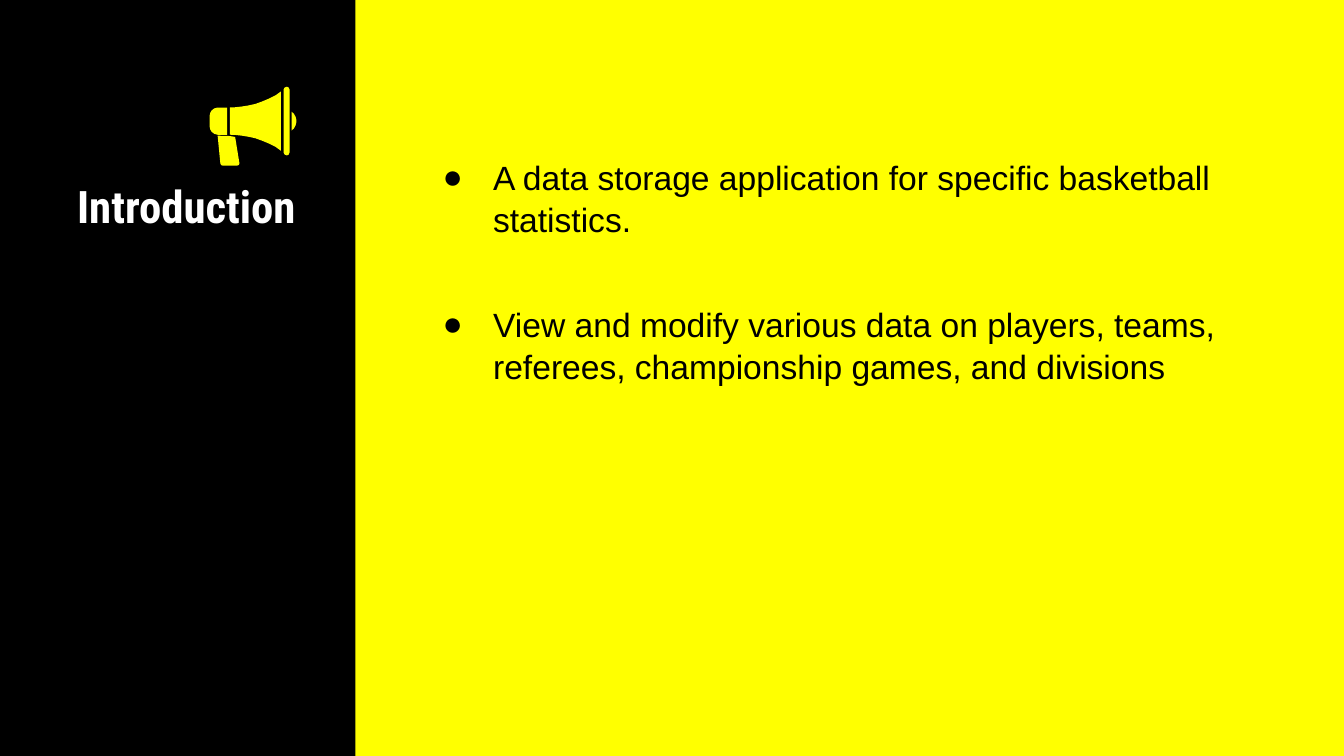
import pptx
import pptx.util
import pptx.dml.color
import pptx.enum.shapes
import pptx.enum.text
import lxml.etree

Pt = pptx.util.Pt
ALIGN = pptx.enum.text.PP_ALIGN

COLORS = {"yellow": "FFFF00", "black": "000000", "white": "FFFFFF"}
HEADING = "Introduction"
POINTS = [
    ("A data storage application for specific basketball statistics.", 6),
    ("View and modify various data on players, teams, referees, "
     "championship games, and divisions", 33.5),
]

SLIDE_SIZE = (720, 405)
BAND_BOX = (0, 0, 190.5, 405)
HEADING_BOX = (31.7, 88.6, 133.9, 116.6)
POINTS_BOX = (221, 75.6, 447.8, 157)

HORN_AXIS = 64.9
HANDLE = [(116.6, 72.7), (118.1, 87.8), (118.6, 88.5), (119.5, 88.8), (126.9, 88.8),
          (127.8, 88.5), (128.3, 87.7), (126, 73.4), (123.1, 72.9)]
UPPER_HALVES = {
    "knob": [(156.2, 59.8), (157.5, 61), (158.4, 62.6), (158.8, 64.3)],
    "grip": [(121.7, 57.6), (116.6, 57.6), (114.8, 58.1), (113.4, 59.2),
             (112.6, 60.6), (112.3, 62.2)],
    "horn": [(150.5, 49), (147.6, 51.1), (144, 52.9), (140.4, 54.4), (136.8, 55.7),
             (133.2, 56.5), (129.6, 57.1), (126, 57.5), (123.1, 57.6)],
    "rim": [(153.7, 46.5), (152.5, 46.9), (151.9, 48), (151.9, 64.9)],
}
RIM_RIGHT = [(155.1, 64.9), (155.1, 48), (154.6, 46.9)]


def rgb(name):
    return pptx.dml.color.RGBColor.from_string(COLORS[name])


def paint(shape, color):
    shape.fill.solid()
    shape.fill.fore_color.rgb = rgb(color)
    shape.line.fill.background()
    shape.shadow.inherit = False


def mirrored(points):
    return [(x, 2 * HORN_AXIS - y) for x, y in reversed(points)]


def place(shape, box):
    shape.left, shape.top, shape.width, shape.height = map(Pt, box)
    frame = shape.text_frame
    frame.word_wrap = True
    frame.auto_size = pptx.enum.text.MSO_AUTO_SIZE.NONE
    frame.vertical_anchor = pptx.enum.text.MSO_ANCHOR.TOP
    frame.margin_left = frame.margin_right = Pt(7.2)
    frame.margin_top = frame.margin_bottom = Pt(7.2)
    return frame


def write(paragraph, text, *, size, font, color, bold=False, align=ALIGN.LEFT,
          before=0, spacing=1.0, bullet=None):
    paragraph.alignment = align
    paragraph.space_before = Pt(before)
    paragraph.line_spacing = spacing
    run = paragraph.add_run()
    run.text = text
    run.font.size = Pt(size)
    run.font.name = font
    run.font.bold = bold
    run.font.color.rgb = rgb(color)
    if bullet:
        props = paragraph._p.get_or_add_pPr()
        props.set("marL", str(Pt(36)))
        props.set("indent", str(Pt(-27)))
        ns = "{http://schemas.openxmlformats.org/drawingml/2006/main}"
        bullet_color = lxml.etree.SubElement(props, ns + "buClr")
        lxml.etree.SubElement(bullet_color, ns + "srgbClr", val=COLORS[color])
        lxml.etree.SubElement(props, ns + "buChar", char=bullet)


def draw_megaphone(slide):
    outlines = [HANDLE]
    for part, upper in UPPER_HALVES.items():
        if part == "rim":
            upper = RIM_RIGHT + upper
        outlines.append(upper + mirrored(upper))
    megaphone = slide.shapes.add_group_shape()
    for outline in outlines:
        start, *rest = [(Pt(x), Pt(y)) for x, y in outline]
        builder = megaphone.shapes.build_freeform(*start)
        builder.add_line_segments(rest, close=True)
        paint(builder.convert_to_shape(), "yellow")


def main():
    deck = pptx.Presentation()
    deck.slide_width, deck.slide_height = map(Pt, SLIDE_SIZE)
    slide = deck.slides.add_slide(deck.slide_layouts[1])
    slide.background.fill.solid()
    slide.background.fill.fore_color.rgb = rgb("yellow")

    heading, body = slide.placeholders
    band = slide.shapes.add_shape(pptx.enum.shapes.MSO_SHAPE.RECTANGLE, *map(Pt, BAND_BOX))
    paint(band, "black")
    heading.element.addprevious(band.element)

    write(place(heading, HEADING_BOX).paragraphs[0], HEADING, size=24,
          font="Roboto Condensed", color="white", bold=True, align=ALIGN.RIGHT)

    draw_megaphone(slide)

    frame = place(body, POINTS_BOX)
    for index, (point, before) in enumerate(POINTS):
        paragraph = frame.add_paragraph() if index else frame.paragraphs[0]
        write(paragraph, point, size=18, font="Arial", color="black",
              before=before, spacing=1.05, bullet="●")

    deck.save("out.pptx")


if __name__ == "__main__":
    main()
